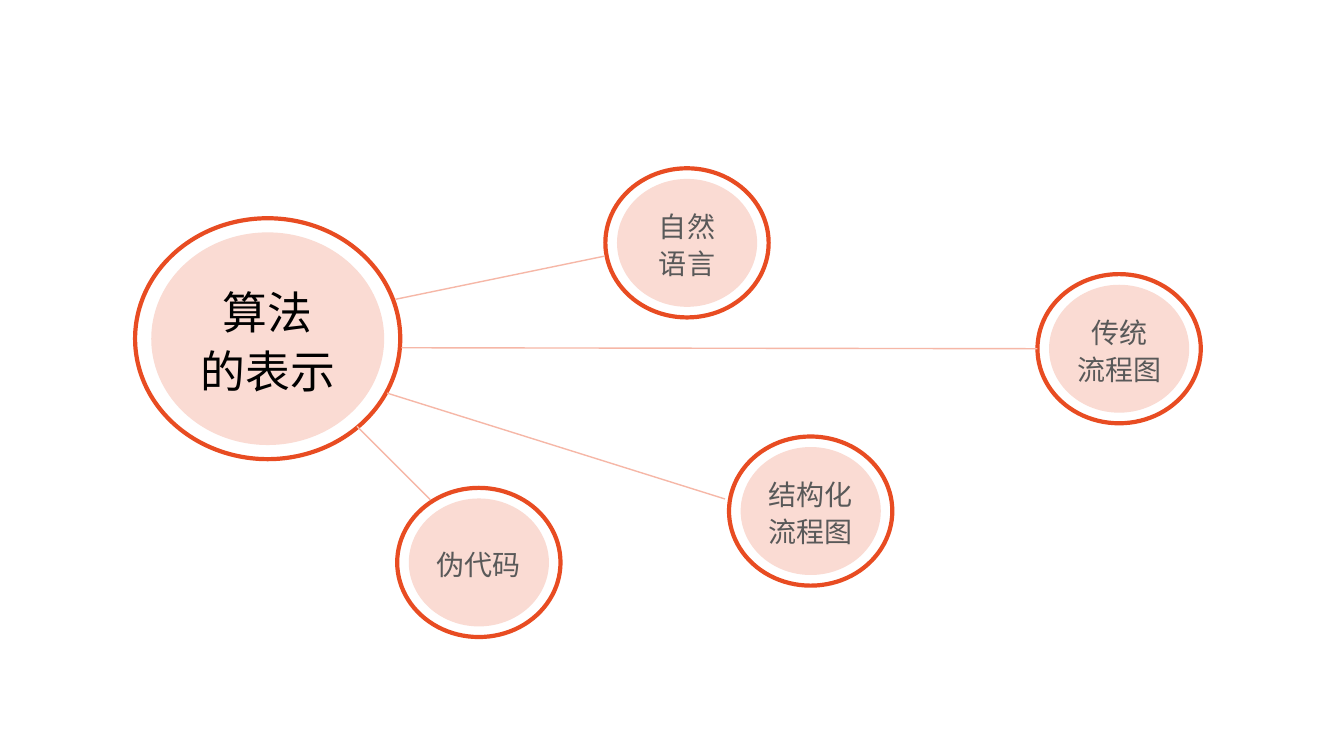
import pptx
import pptx.util
import pptx.dml.color
import pptx.enum.shapes
import pptx.enum.text
import pptx.oxml.ns
import lxml.etree

WIDTH, HEIGHT = 13.33, 7.5
FONT = "Noto Sans CJK SC"
COLORS = {"disc": "FADBD3", "ring": "E84C22", "link": "F6B7A7",
          "topic": "000000", "branch": "595959"}

STYLES = {
    "topic": {"disc": (17.33, 28.13), "ring": (19.73, 31.87), "size": 32},
    "branch": {"disc": (10.43, 16.93), "ring": (12.15, 19.73), "size": 20},
}
BUBBLES = [
    ("topic", (19.92, 44.8), ["算法", "的表示"]),
    ("branch", (35.63, 74.4), ["伪代码"]),
    ("branch", (60.32, 67.6), ["结构化", "流程图"]),
    ("branch", (83.27, 46.13), ["传统", "流程图"]),
    ("branch", (51.12, 32.13), ["自然", "语言"]),
]
LINKS = [
    ((26.56, 56.4), (32.03, 66.13)),
    ((29.41, 39.6), (45.01, 33.87)),
    ((28.81, 52), (53.94, 66)),
    ((29.86, 46), (77.19, 46.13)),
]
FRAME = {"margin_left": 0, "margin_right": 0, "margin_top": 0, "margin_bottom": 0,
         "word_wrap": True, "vertical_anchor": pptx.enum.text.MSO_ANCHOR.MIDDLE}
PARAGRAPH = {"alignment": pptx.enum.text.PP_ALIGN.CENTER, "line_spacing": 1.1}


def rgb(name):
    return pptx.dml.color.RGBColor.from_string(COLORS[name])


def place(share):
    return (pptx.util.Inches(WIDTH * share[0] / 100),
            pptx.util.Inches(HEIGHT * share[1] / 100))


def apply(target, values):
    for name, value in values.items():
        setattr(target, name, value)


def add_ellipse(s, center, size):
    corner = [c - d / 2 for c, d in zip(center, size)]
    sp = s.shapes.add_shape(pptx.enum.shapes.MSO_SHAPE.OVAL, *place(corner), *place(size))
    sp.shadow.inherit = False
    return sp


def add_label(sp, kind, lines):
    tf = sp.text_frame
    apply(tf, FRAME)
    for i, text in enumerate(lines):
        p = tf.add_paragraph() if i else tf.paragraphs[0]
        apply(p, PARAGRAPH)
        r = p.add_run()
        r.text = text
        apply(r.font, {"name": FONT, "size": pptx.util.Pt(STYLES[kind]["size"])})
        r.font.color.rgb = rgb(kind)
        ea = lxml.etree.SubElement(r.font._element, pptx.oxml.ns.qn("a:ea"))
        ea.set("typeface", FONT)


def add_bubble(s, kind, center, lines):
    disc = add_ellipse(s, center, STYLES[kind]["disc"])
    disc.fill.solid()
    disc.fill.fore_color.rgb = rgb("disc")
    disc.line.fill.background()
    add_label(disc, kind, lines)
    ring = add_ellipse(s, center, STYLES[kind]["ring"])
    ring.fill.background()
    ring.line.color.rgb = rgb("ring")
    ring.line.width = pptx.util.Pt(3)


def add_link(s, start, end):
    link = s.shapes.add_connector(pptx.enum.shapes.MSO_CONNECTOR.STRAIGHT,
                                  *place(start), *place(end))
    link.line.color.rgb = rgb("link")
    link.line.width = pptx.util.Pt(1)
    lxml.etree.SubElement(link._element.spPr, pptx.oxml.ns.qn("a:effectLst"))


def main():
    prs = pptx.Presentation()
    prs.slide_width, prs.slide_height = place((100, 100))
    s = prs.slides.add_slide(prs.slide_layouts[6])
    for bubble in BUBBLES:
        add_bubble(s, *bubble)
    for link in LINKS:
        add_link(s, *link)
    prs.save("out.pptx")


if __name__ == "__main__":
    main()
